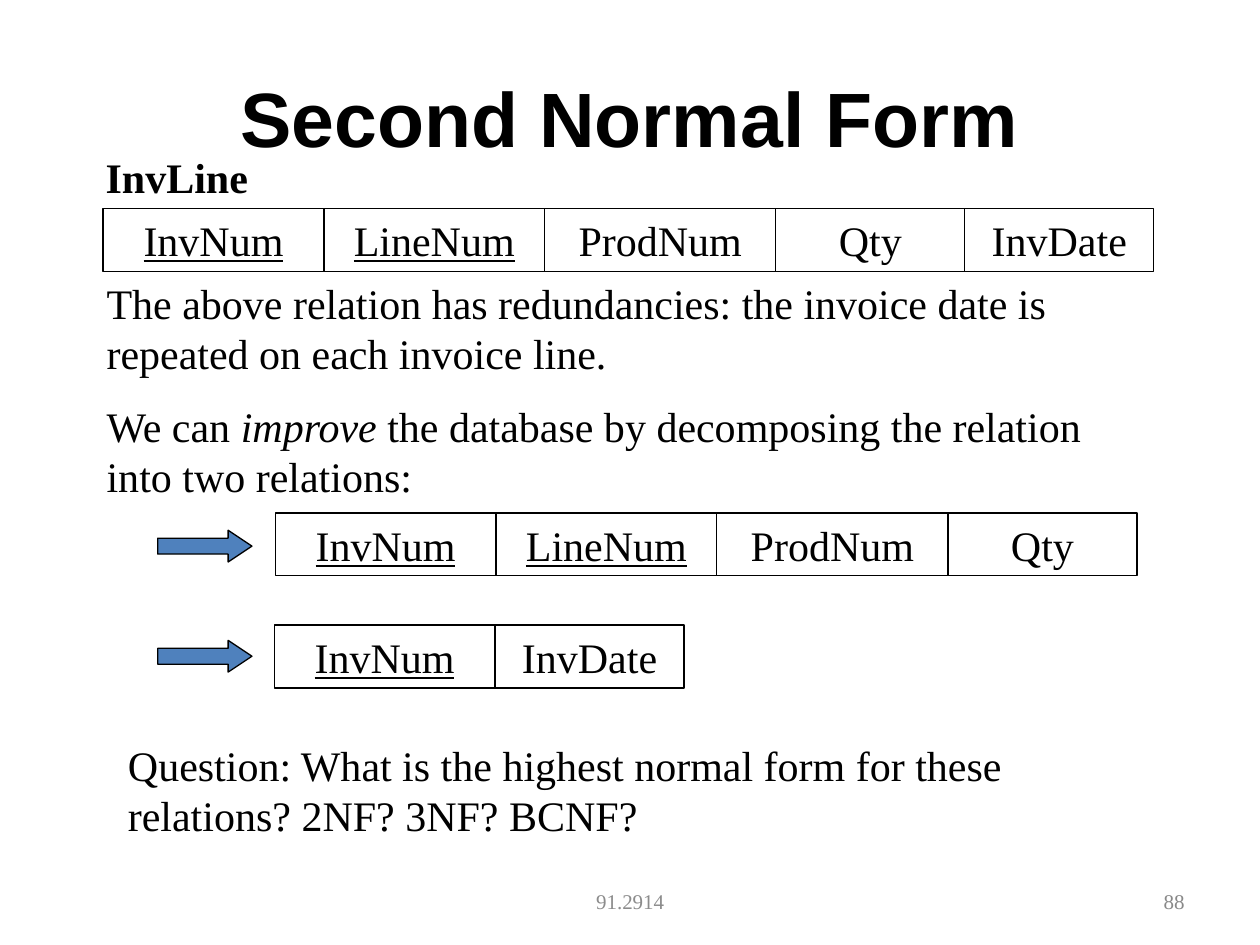
from pptx import Presentation
from pptx import util as u
from pptx.dml.color import RGBColor
from pptx.enum import shapes, text

BLACK = RGBColor(0x00, 0x00, 0x00)
WHITE = RGBColor(0xFF, 0xFF, 0xFF)
BLUE = RGBColor(0x4F, 0x81, 0xBD)
FOOTER_GRAY = RGBColor(0x8C, 0x8C, 0x8C)
NUMBER_GRAY = RGBColor(0x89, 0x89, 0x89)

LEFT, CENTER, RIGHT = text.PP_ALIGN.LEFT, text.PP_ALIGN.CENTER, text.PP_ALIGN.RIGHT
TOP, MIDDLE = text.MSO_ANCHOR.TOP, text.MSO_ANCHOR.MIDDLE

ROW_HEIGHT = 1.27
COLUMN_WIDTHS = {"InvNum": 4.45, "LineNum": 4.45, "ProdNum": 4.66, "Qty": 3.81, "InvDate": 3.81}


def add_text(paragraph, words, *, font="Times New Roman", size=24, color=BLACK,
             bold=False, italic=False, underline=False):
    run = paragraph.add_run()
    run.text = words
    run.font.name = font
    run.font.size = u.Pt(size)
    run.font.color.rgb = color
    run.font.bold = bold
    run.font.italic = italic
    run.font.underline = underline


class SlideWriter:
    """Draws on one slide; all lengths are in centimetres."""

    def __init__(self, slide):
        self.slide = slide

    def title(self, words, left, top, width, height):
        title = self.slide.shapes.title
        title.left, title.top = u.Cm(left), u.Cm(top)
        title.width, title.height = u.Cm(width), u.Cm(height)
        title.text_frame.vertical_anchor = MIDDLE
        paragraph = title.text_frame.paragraphs[0]
        paragraph.alignment = CENTER
        add_text(paragraph, words, font="Arial", size=44, bold=True)

    def text_box(self, paragraphs, left, top, width, height, *,
                 align=LEFT, anchor=TOP, wrap=True, **style):
        """Each paragraph is a list of (words, extra format) pairs."""
        box = self.slide.shapes.add_textbox(u.Cm(left), u.Cm(top), u.Cm(width), u.Cm(height))
        frame = box.text_frame
        frame.word_wrap = wrap
        frame.vertical_anchor = anchor
        for index, pieces in enumerate(paragraphs):
            paragraph = frame.add_paragraph() if index else frame.paragraphs[0]
            paragraph.alignment = align
            if index:
                paragraph.space_before = u.Pt(13)
            for words, extra in pieces:
                add_text(paragraph, words, **{**style, **extra})

    def outlined(self, preset, left, top, width, height, fill):
        shape = self.slide.shapes.add_shape(
            preset, u.Cm(left), u.Cm(top), u.Cm(width), u.Cm(height))
        shape.shadow.inherit = False
        shape.fill.solid()
        shape.fill.fore_color.rgb = fill
        shape.line.color.rgb = BLACK
        shape.line.width = u.Pt(0.75)
        return shape

    def relation(self, left, top, attributes, keys):
        """Draw a row of attribute cells, with the key attributes underlined."""
        for attribute in attributes:
            width = COLUMN_WIDTHS[attribute]
            cell = self.outlined(shapes.MSO_SHAPE.RECTANGLE, left, top, width, ROW_HEIGHT, WHITE)
            cell.text_frame.vertical_anchor = TOP
            paragraph = cell.text_frame.paragraphs[0]
            paragraph.alignment = CENTER
            add_text(paragraph, attribute, underline=attribute in keys)
            left += width

    def arrow(self, left, top):
        arrow = self.outlined(shapes.MSO_SHAPE.RIGHT_ARROW, left, top, 1.9, 0.64, BLUE)
        arrow.adjustments[0] = 0.5
        arrow.adjustments[1] = 0.75


def main():
    deck = Presentation()
    deck.slide_width, deck.slide_height = u.Cm(25.4), u.Cm(19.05)
    writer = SlideWriter(deck.slides.add_slide(deck.slide_layouts[5]))

    writer.title("Second Normal Form", 1.27, 0.76, 22.86, 3.18)
    writer.text_box([[("91.2914", {})]], 8.68, 17.66, 8.05, 1.01,
                    align=CENTER, anchor=MIDDLE, size=12, color=FOOTER_GRAY)
    writer.text_box([[("88", {})]], 18.2, 17.66, 5.93, 1.01,
                    align=RIGHT, anchor=MIDDLE, size=12, color=NUMBER_GRAY)

    writer.text_box([[("InvLine", {})]], 1.88, 2.92, 3.38, 1.27, wrap=False, bold=True)
    writer.relation(2.08, 4.2, ["InvNum", "LineNum", "ProdNum", "Qty", "InvDate"],
                    keys={"InvNum", "LineNum"})
    writer.text_box([
        [("The above relation has redundancies: the invoice date is "
          "repeated on each invoice line.", {})],
        [("We can ", {}), ("improve", {"italic": True}),
         (" the database by decomposing the relation into two relations:", {})],
    ], 1.9, 5.46, 21.59, 4.83)

    writer.relation(5.55, 10.34, ["InvNum", "LineNum", "ProdNum", "Qty"],
                    keys={"InvNum", "LineNum"})
    writer.relation(5.53, 12.6, ["InvNum", "InvDate"], keys={"InvNum"})
    for arrow_top in (10.69, 12.91):
        writer.arrow(3.18, arrow_top)

    writer.text_box([[("Question: What is the highest normal form for these "
                       "relations? 2NF? 3NF? BCNF?", {})]], 2.33, 14.78, 20.75, 2.29)

    deck.save("out.pptx")


if __name__ == "__main__":
    main()
